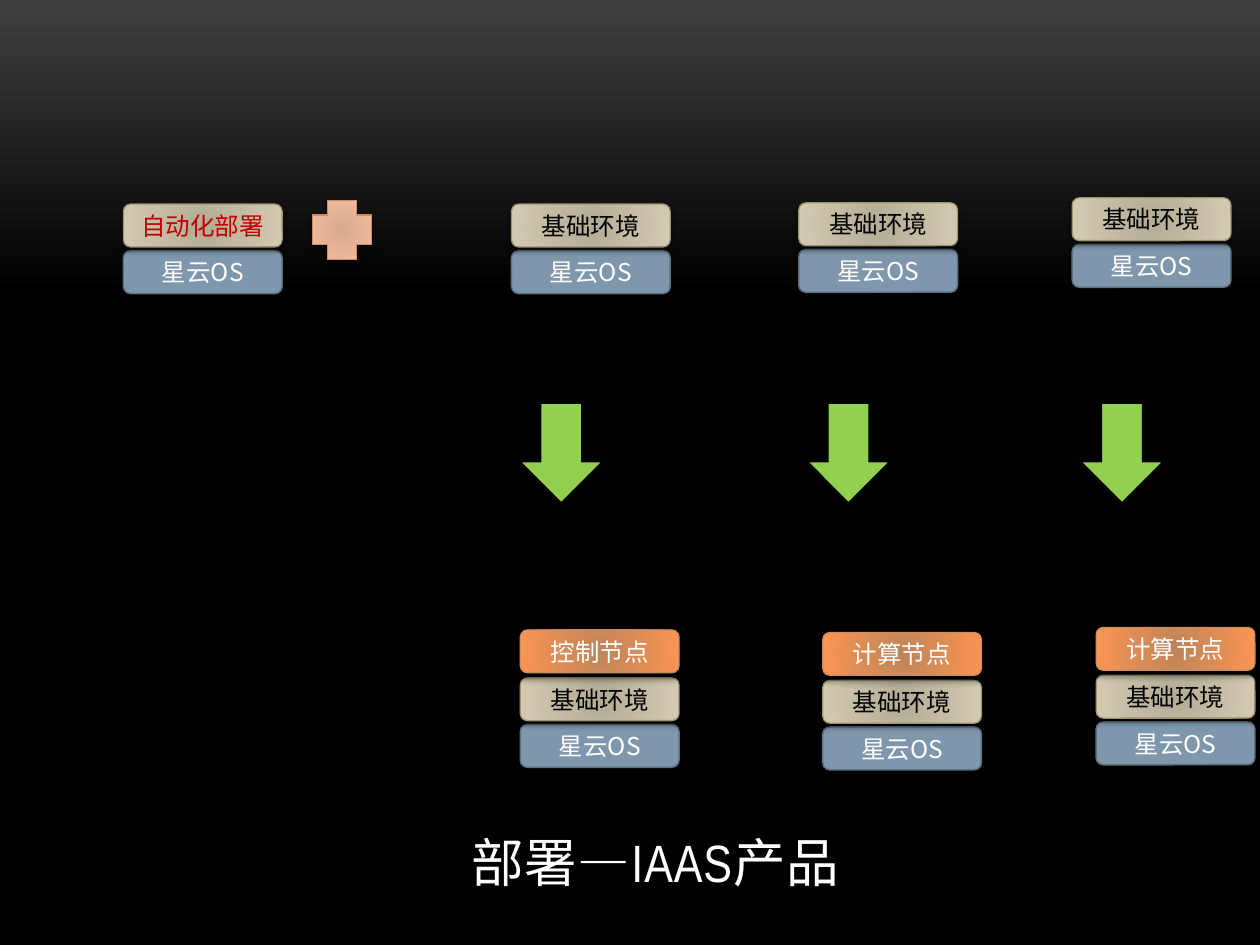
import lxml.etree
import pptx
import pptx.dml.color
import pptx.enum.shapes
import pptx.enum.text
import pptx.oxml.ns
import pptx.util
from pptx.util import Inches

RGBColor = pptx.dml.color.RGBColor
ShapeType = pptx.enum.shapes.MSO_SHAPE
Anchor = pptx.enum.text.MSO_ANCHOR
qn = pptx.oxml.ns.qn

WHITE = RGBColor(0xFF, 0xFF, 0xFF)
BLACK = RGBColor(0x00, 0x00, 0x00)
RED = RGBColor(0xC0, 0x00, 0x00)
GREEN = RGBColor(0x92, 0xD0, 0x50)
GREY = RGBColor(0x3F, 0x3F, 0x3F)
BLUE = RGBColor(0x7E, 0x97, 0xAD)
BLUE_EDGE = RGBColor(0x5D, 0x70, 0x80)
TAN_EDGE = RGBColor(0x9D, 0x93, 0x6F)
ORANGE_EDGE = RGBColor(0xCC, 0x8E, 0x60)
TAN = (RGBColor(0xB3, 0xAC, 0x95), RGBColor(0xD3, 0xCB, 0xB1))
ORANGE = (RGBColor(0xBE, 0x84, 0x59), RGBColor(0xFC, 0x95, 0x53))
PEACH = (RGBColor(0xD6, 0xA9, 0x8D), RGBColor(0xF8, 0xBE, 0x9F))

CJK_FONT = "Noto Sans CJK SC"
BOX_WIDTH, BOX_HEIGHT = 1.26, 0.34
BASE_RISE, ROLE_RISE = 0.37, 0.75
SOFT_SHADOW, DEEP_SHADOW = (3, 2), (4, 3.4)


def add_element(parent, tag, **attributes):
    element = lxml.etree.SubElement(parent, qn(tag))
    for name, value in attributes.items():
        element.set(name, str(value))
    return element


def set_gradient(properties, stops):
    """Swap a solid fill for (percent, colour) stops; return the gradient element."""
    solid = properties.find(qn("a:solidFill"))
    gradient = lxml.etree.Element(qn("a:gradFill"), rotWithShape="1")
    stop_list = add_element(gradient, "a:gsLst")
    for percent, colour in stops:
        stop = add_element(stop_list, "a:gs", pos=percent * 1000)
        add_element(stop, "a:srgbClr", val=colour)
    properties.replace(solid, gradient)
    return gradient


def set_background(slide):
    slide.background.fill.solid()
    properties = slide.element.find(".//" + qn("p:bgPr"))
    gradient = set_gradient(properties, [(0, GREY), (31, BLACK), (100, BLACK)])
    add_element(gradient, "a:lin", ang=90 * 60000, scaled=0)


def add_shadow(shape, blur, distance):
    effects = shape.element.spPr.find(qn("a:effectLst"))
    shadow = add_element(effects, "a:outerShdw", blurRad=pptx.util.Pt(blur),
                         dist=pptx.util.Pt(distance), dir=90 * 60000, rotWithShape=0)
    colour = add_element(shadow, "a:srgbClr", val=BLACK)
    add_element(colour, "a:alpha", val=40000)


def add_figure(slide, kind, left, top, width, height, fill, edge,
               shadow=SOFT_SHADOW, edge_width=0.75):
    """Add a shape; a pair of colours as fill makes a centre-to-rim gradient."""
    shape = slide.shapes.add_shape(kind, Inches(left), Inches(top),
                                   Inches(width), Inches(height))
    shape.fill.solid()
    if isinstance(fill, RGBColor):
        shape.fill.fore_color.rgb = fill
    else:
        gradient = set_gradient(shape.element.spPr, zip((0, 100), fill))
        radial = add_element(gradient, "a:path", path="circle")
        add_element(radial, "a:fillToRect", l=100000, t=100000, r=100000, b=100000)
    shape.line.color.rgb = edge
    shape.line.width = pptx.util.Pt(edge_width)
    shape.shadow.inherit = False
    if shadow:
        add_shadow(shape, *shadow)
    return shape


def write_text(frame, text, size, colour, latin_font):
    paragraph = frame.paragraphs[0]
    paragraph.alignment = pptx.enum.text.PP_ALIGN.CENTER
    run = paragraph.add_run()
    run.text = text
    run.font.size = pptx.util.Pt(size)
    run.font.color.rgb = colour
    run.font.name = latin_font
    add_element(run.font._element, "a:ea", typeface=CJK_FONT)
    return run


def add_box(slide, text, left, top, colour, **style):
    box = add_figure(slide, ShapeType.ROUNDED_RECTANGLE, left, top,
                     BOX_WIDTH, BOX_HEIGHT, **style)
    frame = box.text_frame
    frame.word_wrap = True
    frame.margin_top = frame.margin_bottom = 0
    frame.vertical_anchor = Anchor.MIDDLE
    write_text(frame, text, 14, colour, CJK_FONT)


def add_stack(slide, left, system_top, base="基础环境", base_colour=BLACK, role=None):
    """Add one machine: system at the bottom, base above it, then any node role."""
    add_box(slide, "星云OS", left, system_top, WHITE, fill=BLUE, edge=BLUE_EDGE,
            shadow=None, edge_width=0.85)
    add_box(slide, base, left, system_top - BASE_RISE, base_colour,
            fill=TAN, edge=TAN_EDGE)
    if role:
        add_box(slide, role, left, system_top - ROLE_RISE, WHITE,
                fill=ORANGE, edge=ORANGE_EDGE, shadow=DEEP_SHADOW)


def set_title(slide, text):
    title = slide.shapes.title
    title.left, title.top = Inches(0.67), Inches(6.49)
    title.width, title.height = Inches(9.06), Inches(0.65)
    title.text_frame.vertical_anchor = Anchor.BOTTOM
    run = write_text(title.text_frame, text, 30, WHITE, "Arial Narrow")
    run.font._element.set("spc", "50")


def main():
    presentation = pptx.Presentation()
    presentation.slide_width, presentation.slide_height = Inches(10), Inches(7.5)
    slide = presentation.slides.add_slide(presentation.slide_layouts[5])
    set_background(slide)
    set_title(slide, "部署—IAAS产品")

    add_stack(slide, 0.98, 1.99, base="自动化部署", base_colour=RED)
    add_figure(slide, ShapeType.CROSS, 2.48, 1.59, 0.47, 0.47, PEACH, ORANGE_EDGE)

    for left, system_top in [(4.06, 1.99), (6.34, 1.98), (8.51, 1.94)]:
        add_stack(slide, left, system_top)
        add_figure(slide, ShapeType.DOWN_ARROW, left + 0.07, 3.2, 0.65, 0.79,
                   GREEN, BLACK)

    for left, system_top, role in [(4.13, 5.75, "控制节点"),
                                   (6.53, 5.77, "计算节点"),
                                   (8.7, 5.73, "计算节点")]:
        add_stack(slide, left, system_top, role=role)

    presentation.save("out.pptx")


if __name__ == "__main__":
    main()
